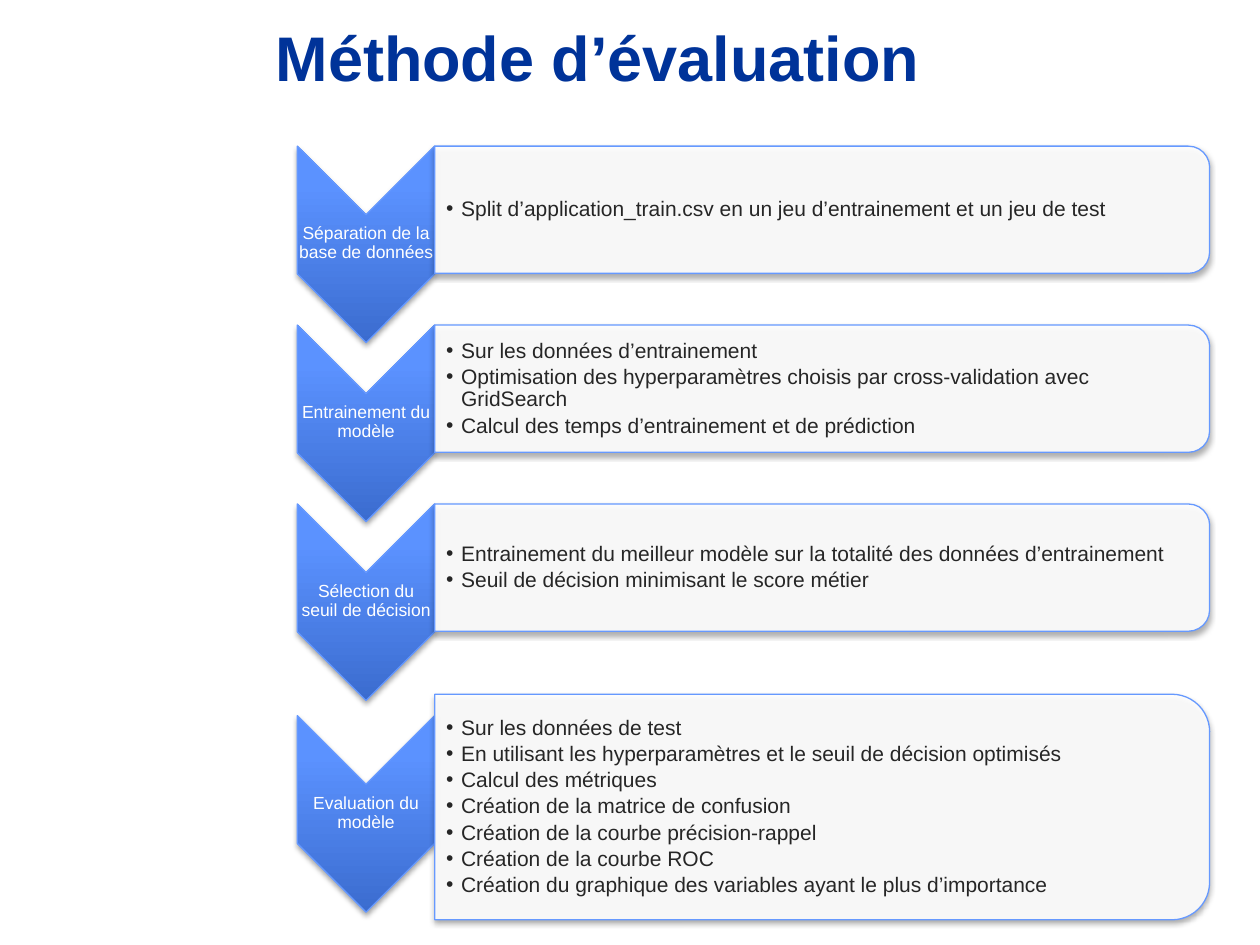
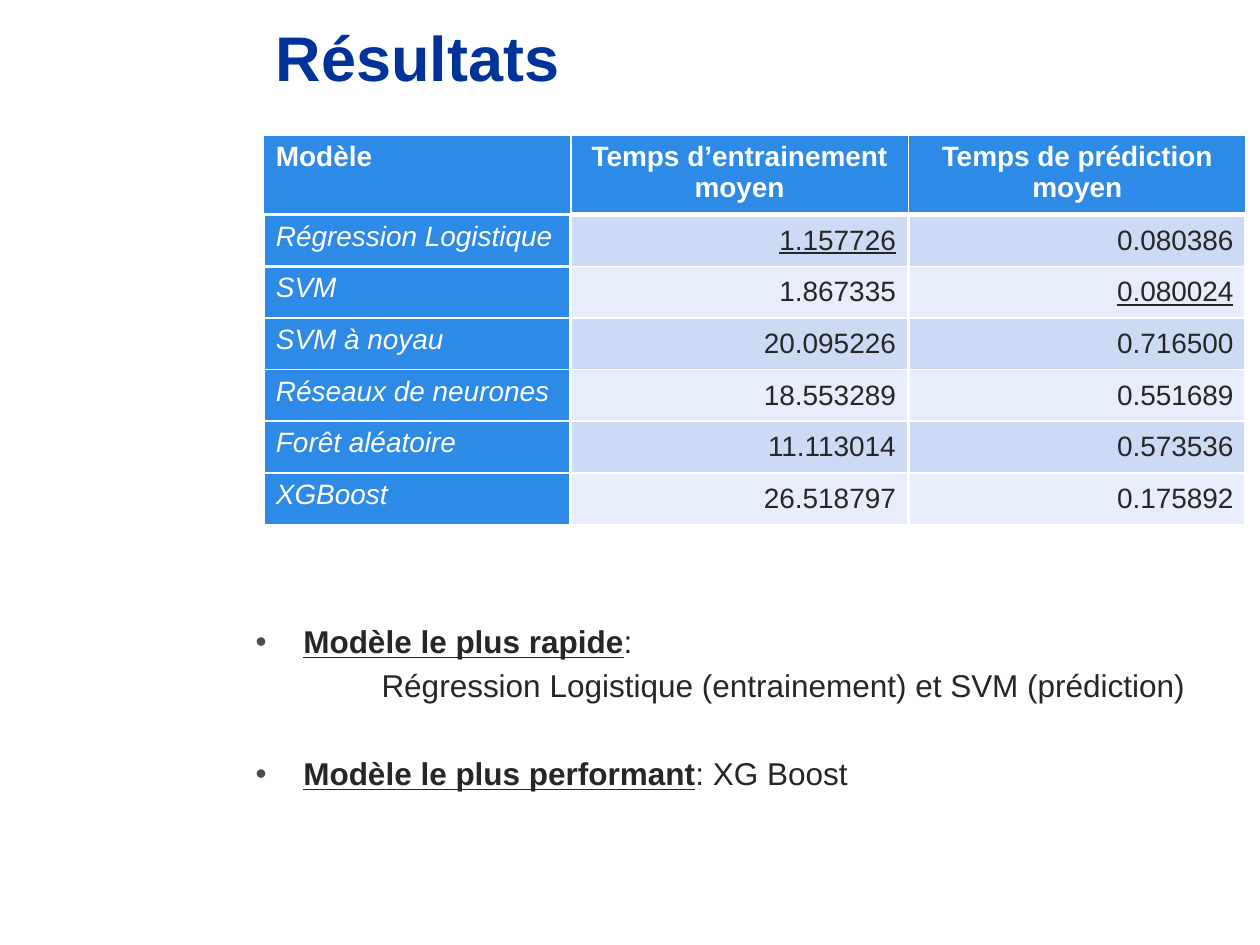
import pptx
import pptx.util
import pptx.dml.color
import pptx.enum.shapes
import pptx.enum.text
import pptx.oxml
import pptx.oxml.ns
from dataclasses import dataclass

SCALE = 9144  # EMU per px, 100 px to the inch
Kind = pptx.enum.shapes.MSO_SHAPE
Align = pptx.enum.text.PP_ALIGN
Anchor = pptx.enum.text.MSO_ANCHOR
NS = pptx.oxml.ns.nsdecls("a")


@dataclass(frozen=True)
class Theme:
    font: str = "Arial"
    title: str = "003399"
    ink: str = "262626"
    white: str = "FFFFFF"
    edge: str = "6699FF"
    bullet: str = "4D4D4D"
    head: str = "2D8AE7"
    bands: tuple = ("CDDAF5", "E7EDFA")
    fade: tuple = ((0, "3B6CCF"), (80, "5B92FF"), (100, "5D93FF"))
    big: int = 36
    body: int = 18
    cell: int = 16
    item: int = 12
    label: int = 10
    thin: float = 0.96
    mid: float = 2.21
    thick: float = 3


def px(num):
    return pptx.util.Emu(int(num * SCALE))


def color(code):
    return pptx.dml.color.RGBColor.from_string(code)


def node(xml):
    """Parse one drawing element, adding the namespace to its root tag."""
    tag, rest = xml.split(" ", 1)
    return pptx.oxml.parse_xml(f"{tag} {NS} {rest}")


class Deck:
    def __init__(self, theme):
        self.theme = theme
        self.file = pptx.Presentation()
        self.file.slide_width, self.file.slide_height = px(1000), px(750)
        self.slide = None

    def page(self, title):
        self.slide = self.file.slides.add_slide(self.file.slide_layouts[6])
        frame = self.text(209, 5, 717, 79, anchor=Anchor.MIDDLE)
        self.para(frame, [(title, "b")], self.theme.big, self.theme.title)

    def text(self, x, y, w, h, pads=(10, 5, 10, 5), anchor=Anchor.TOP):
        frame = self.slide.shapes.add_textbox(px(x), px(y), px(w), px(h)).text_frame
        frame.word_wrap = True
        frame.vertical_anchor = anchor
        (frame.margin_left, frame.margin_top,
         frame.margin_right, frame.margin_bottom) = map(px, pads)
        return frame

    def para(self, frame, runs, size, ink, align=Align.LEFT, line=None,
             before=0, after=0, left=0, bullet=None):
        """Add a paragraph; each run is (text, marks), marks among b, i, u."""
        para = frame.paragraphs[0]
        if para.runs:
            para = frame.add_paragraph()
        para.alignment = align
        para.space_before = pptx.util.Pt(before)
        para.space_after = pptx.util.Pt(after)
        if line:
            para.line_spacing = line
        props = para._p.get_or_add_pPr()
        props.set("marL", str(px(left)))
        props.set("indent", str(px(-left if bullet else 0)))
        if bullet:
            props.append(node(f'<a:buClr ><a:srgbClr val="{bullet}"/></a:buClr>'))
            props.append(node(f'<a:buFont typeface="{self.theme.font}"/>'))
            props.append(node('<a:buChar char="•"/>'))
        for words, marks in runs:
            run = para.add_run()
            run.text = words
            font = run.font
            font.name, font.size = self.theme.font, pptx.util.Pt(size)
            font.bold, font.italic, font.underline = (m in marks for m in "biu")
            font.color.rgb = color(ink)

    def turned(self, kind, x, y, w, h, fill):
        """Add a shape turned a quarter clockwise that covers the given box."""
        shape = self.slide.shapes.add_shape(
            kind, px(x + (w - h) / 2), px(y + (h - w) / 2), px(h), px(w))
        shape.rotation = 90
        shape.line.color.rgb = color(self.theme.edge)
        shape.line.width = pptx.util.Pt(0.75)
        props = shape._element.spPr
        props.find(pptx.oxml.ns.qn("a:prstGeom")).addnext(node(fill))
        props.append(node(
            '<a:effectLst ><a:outerShdw blurRad="39370" dist="22860" dir="5400000" '
            'rotWithShape="0"><a:srgbClr val="000000"><a:alpha val="35000"/>'
            '</a:srgbClr></a:outerShdw></a:effectLst>'))

    def arrow(self, x, y, w, h, label):
        stops = "".join(f'<a:gs pos="{pos * 1000}"><a:srgbClr val="{code}"/></a:gs>'
                        for pos, code in self.theme.fade)
        self.turned(Kind.CHEVRON, x, y, w, h,
                    f'<a:gradFill rotWithShape="0"><a:gsLst>{stops}</a:gsLst>'
                    '<a:lin ang="16200000" scaled="0"/></a:gradFill>')
        frame = self.text(x, y + w // 2, w, h - w, (1, 1, 1, 1), Anchor.MIDDLE)
        self.para(frame, [(label, "")], self.theme.label, self.theme.white,
                  Align.CENTER, line=0.9, after=3.5)

    def panel(self, x, y, w, h, items):
        self.turned(Kind.ROUND_2_SAME_RECTANGLE, x, y, w, h,
                    f'<a:solidFill ><a:srgbClr val="{self.theme.white}">'
                    '<a:alpha val="90000"/></a:srgbClr></a:solidFill>')
        inset = h // 20
        frame = self.text(x, y + inset, w - inset, h - 2 * inset,
                          (9, 1, 1, 1), Anchor.MIDDLE)
        for item in items:
            self.para(frame, [(item, "")], self.theme.item, self.theme.ink,
                      line=0.9, after=2, left=12, bullet=self.theme.ink)

    def table(self, x, y, cols, rows, data):
        grid = self.slide.shapes.add_table(
            len(rows), len(cols), px(x), px(y), px(sum(cols)), px(sum(rows))).table
        for col, wide in zip(grid.columns, cols):
            col.width = px(wide)
        for row, high in zip(grid.rows, rows):
            row.height = px(high)
        for r, line in enumerate(data):
            for c, (words, marks) in enumerate(line):
                self.cell(grid.cell(r, c), r, c, words, marks)

    def cell(self, cell, r, c, words, marks):
        look = self.theme
        value = r > 0 and c > 0
        cell.fill.solid()
        cell.fill.fore_color.rgb = color(look.bands[(r - 1) % 2] if value else look.head)
        cell.vertical_anchor = Anchor.MIDDLE if value else Anchor.TOP
        align = Align.RIGHT if value else Align.CENTER if c else Align.LEFT
        self.para(cell.text_frame, [(words, marks)], look.cell,
                  look.ink if value else look.white, align)
        # Borders: heavy under the header, medium between body columns
        side = look.mid if r else look.thin
        under = look.mid if c == 0 else look.thick
        top = under if r == 1 else look.mid if (r, c) == (2, 0) else look.thin
        low = under if r == 0 else look.mid if (r, c) == (1, 0) else look.thin
        props = cell._tc.get_or_add_tcPr()
        for spot, (tag, wide) in enumerate(
                (("lnL", side), ("lnR", side), ("lnT", top), ("lnB", low))):
            props.insert(spot, node(
                f'<a:{tag} w="{pptx.util.Pt(wide)}"><a:solidFill>'
                f'<a:srgbClr val="{look.white}"/></a:solidFill></a:{tag}>'))


# Each step: arrow top, panel top, panel height, label, items
STEPS = [
    (116, 116, 101, "Séparation de la base de données",
     ["Split d’application_train.csv en un jeu d’entrainement et un jeu de test"]),
    (258, 258, 101, "Entrainement du modèle",
     ["Sur les données d’entrainement",
      "Optimisation des hyperparamètres choisis par cross-validation avec GridSearch",
      "Calcul des temps d’entrainement et de prédiction"]),
    (400, 400, 101, "Sélection du seuil de décision",
     ["Entrainement du meilleur modèle sur la totalité des données d’entrainement",
      "Seuil de décision minimisant le score métier"]),
    (568, 551, 179, "Evaluation du modèle",
     ["Sur les données de test",
      "En utilisant les hyperparamètres et le seuil de décision optimisés",
      "Calcul des métriques",
      "Création de la matrice de confusion",
      "Création de la courbe précision-rappel",
      "Création de la courbe ROC",
      "Création du graphique des variables ayant le plus d’importance"]),
]

HEADS = ["Modèle", "Temps d’entrainement moyen", "Temps de prédiction moyen"]
TIMES = [
    ("Régression Logistique", "1.157726", "0.080386"),
    ("SVM", "1.867335", "0.080024"),
    ("SVM à noyau", "20.095226", "0.716500"),
    ("Réseaux de neurones", "18.553289", "0.551689"),
    ("Forêt aléatoire", "11.113014", "0.573536"),
    ("XGBoost", "26.518797", "0.175892"),
]


def method(deck):
    deck.page("Méthode d’évaluation")
    for top, level, high, label, items in STEPS:
        deck.arrow(236, top, 109, 156, label)
        deck.panel(345, level, 615, high, items)


def results(deck):
    deck.page("Résultats")

    # Timing table, with the fastest time of each column underlined
    best = [min(col, key=float) for col in list(zip(*TIMES))[1:]]
    data = [[(head, "b") for head in HEADS]]
    for name, *times in TIMES:
        data.append([(name, "i")] + [(t, "u" if t in best else "") for t in times])
    deck.table(209, 107, [244, 268, 268], [59] + [41] * len(TIMES), data)

    # Findings
    look = deck.theme
    frame = deck.text(193, 489, 807, 248)
    for runs, before, left, bullet in [
            ([("Modèle le plus rapide", "bu"), (":", "")], 3.6, 38, look.bullet),
            ([("Régression Logistique (entrainement) et SVM (prédiction)", "")],
             3.6, 100, None),
            ([("Modèle le plus performant", "bu"), (": XG Boost", "")],
             28.7, 38, look.bullet)]:
        deck.para(frame, runs, look.body, look.ink, Align.JUSTIFY,
                  before=before, left=left, bullet=bullet)


def main():
    deck = Deck(Theme())
    method(deck)
    results(deck)
    deck.file.save("out.pptx")


if __name__ == "__main__":
    main()
